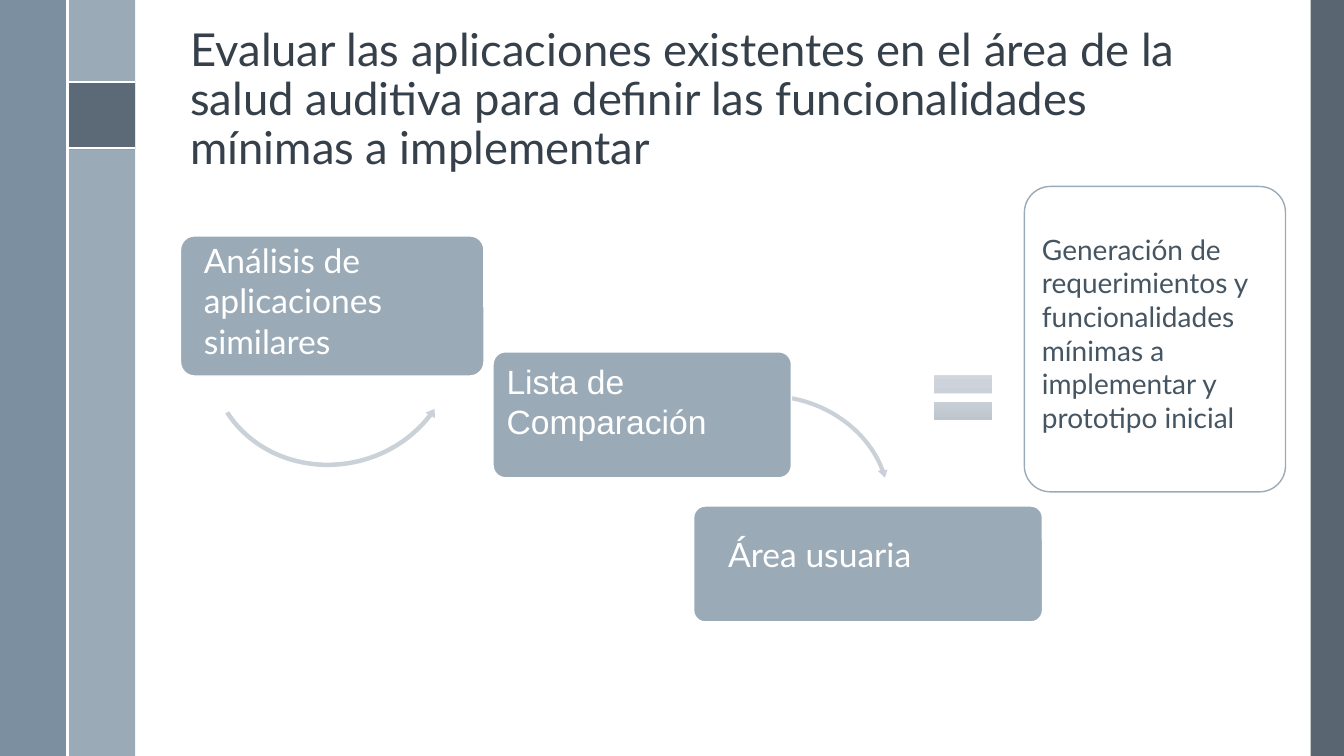
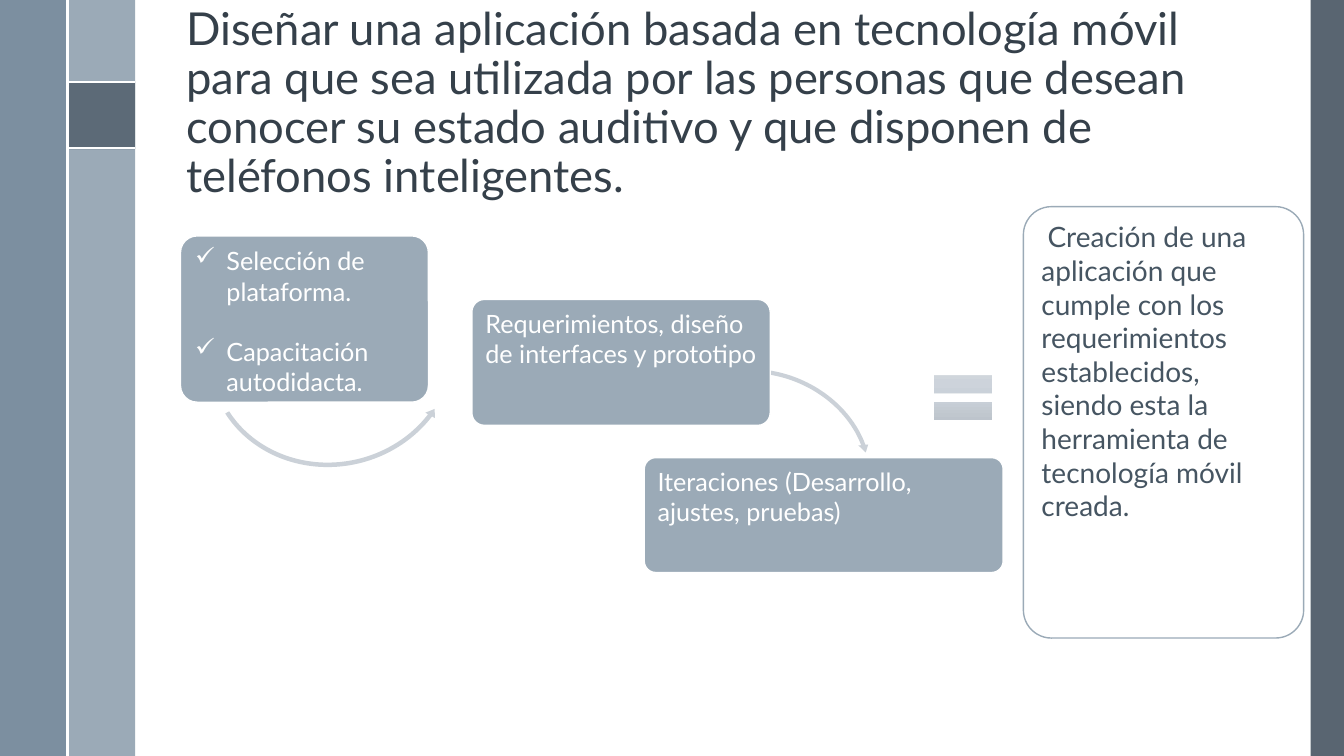
from copy import deepcopy

from lxml.etree import SubElement
from pptx import Presentation
from pptx.dml.color import RGBColor
from pptx.enum.shapes import MSO_CONNECTOR, MSO_SHAPE
from pptx.enum.text import MSO_ANCHOR, PP_ALIGN
from pptx.oxml.ns import qn
from pptx.util import Inches, Pt

COLORS = {
    "white": "FFFFFF", "title": "35404A", "text": "465562", "box": "9BAAB7",
    "arrow": "CBD1D8", "left": "6A8093", "dark": "475562",
}
EQUAL_STOPS = [(0, "D3D8DE"), (0.5, "CAD1D9"), (1, "B3BAC1")]

# left, top, width, height, colour, opacity in percent
BANDS = [
    (13, 0, 0.33, 7.5, "dark", 90),
    (0.67, 0, 0.67, 7.5, "box", 100),
    (0, 0, 0.67, 7.5, "left", 88),
    (0.67, 0.81, 0.67, 0.67, "dark", 75),
]
RULES = [(0.67, 0.81, 1.34, 0.81), (0.67, 1.47, 1.34, 1.47), (0.67, 0, 0.67, 7.5)]

RIGHT_ARC = [0.022, 2.644, 196.606, 133.856, 0.026]
LEFT_ARC = [0.019, 2.316, 27.964, 98.138, 0.023]

SLIDES = [
    {
        "title": "Evaluar las aplicaciones existentes en el área de la salud auditiva "
                 "para definir las funcionalidades mínimas a implementar",
        "title_at": (1.79, 0.42),
        "arc_at": (6.65, 3.91),
        "steps": [
            {"at": (1.79, 2.34, 3.01, 1.39), "size": 24, "inset": (0.19, 0),
             "text": ["Análisis de aplicaciones similares"]},
            {"at": (4.89, 3.49, 2.96, 1.25), "size": 24, "font": "Arial",
             "text": ["Lista de Comparación"]},
            {"at": (6.88, 5.02, 3.46, 1.15), "size": 24, "inset": (0.31, 0.24),
             "text": ["Área usuaria"]},
        ],
        "result": {"at": (10.16, 1.85, 2.59, 3.03), "inset": (0.1, 0.38),
                   "text": ["Generación de requerimientos y funcionalidades mínimas "
                            "a implementar y prototipo inicial"]},
    },
    {
        "title": "Diseñar una aplicación basada en tecnología móvil para que sea utilizada "
                 "por las personas que desean conocer su estado auditivo y que disponen "
                 "de teléfonos inteligentes.",
        "title_at": (1.75, 0.7),
        "arc_at": (6.46, 3.66),
        "steps": [
            {"at": (1.79, 2.34, 2.46, 1.65), "size": 18, "bullet": "✓",
             "text": ["Selección de plataforma.", "Capacitación autodidacta."]},
            {"at": (4.68, 2.97, 2.96, 1.25), "size": 18,
             "text": ["Requerimientos, diseño de interfaces y prototipo"]},
            {"at": (6.39, 4.54, 3.56, 1.14), "size": 18,
             "text": ["Iteraciones (Desarrollo, ajustes, pruebas)"]},
        ],
        "result": {"at": (10.15, 2.05, 2.78, 4.28), "first_line": 0.06,
                   "text": ["Creación de una aplicación que cumple con los requerimientos "
                            "establecidos, siendo esta la herramienta de tecnología móvil "
                            "creada."]},
    },
]


def rgb(name):
    return RGBColor.from_string(COLORS[name])


def add_shape(s, kind, at, fill, line=None):
    sp = s.shapes.add_shape(kind, *map(Inches, at))
    sp.shadow.inherit = False
    sp.fill.solid()
    sp.fill.fore_color.rgb = rgb(fill)
    if line:
        sp.line.color.rgb = rgb(line)
        sp.line.width = Pt(1)
    else:
        sp.line.fill.background()
    return sp


def add_bands(s):
    for *at, color, opacity in BANDS:
        sp = add_shape(s, MSO_SHAPE.RECTANGLE, at, color)
        if opacity < 100:
            clr = sp.fill._xPr.find(qn("a:solidFill"))[0]
            SubElement(clr, qn("a:alpha"), val=str(opacity * 1000))
    for ends in RULES:
        rule = s.shapes.add_connector(MSO_CONNECTOR.STRAIGHT, *map(Inches, ends))
        rule.line.color.rgb = rgb("white")
        rule.line.width = Pt(1.5)
        SubElement(rule._element.spPr, qn("a:effectLst"))


def set_font(p, size, color, name="Lato"):
    for r in p.runs:
        for key, value in {"size": Pt(size), "name": name}.items():
            setattr(r.font, key, value)
        r.font.color.rgb = rgb(color)


def add_title(s, text, at):
    sp = s.shapes.add_textbox(*map(Inches, (*at, 10.7, 1.36)))
    tf = sp.text_frame
    tf.word_wrap = True
    tf.vertical_anchor = MSO_ANCHOR.BOTTOM
    p = tf.paragraphs[0]
    p.line_spacing = 0.9
    p.add_run().text = text
    set_font(p, 32.4, "title")


def add_card(s, card, fill, line, color):
    sp = add_shape(s, MSO_SHAPE.ROUNDED_RECTANGLE, card["at"], fill, line)
    sp.adjustments[0] = 0.1
    tf = sp.text_frame
    tf.word_wrap = True
    tf.vertical_anchor = MSO_ANCHOR.TOP
    tf.margin_left, tf.margin_top = map(Inches, card.get("inset", (0.1, 0.05)))
    size = card.get("size", 20)
    for i, text in enumerate(card["text"]):
        p = tf.add_paragraph() if i else tf.paragraphs[0]
        p.alignment = PP_ALIGN.LEFT
        pPr = p._p.get_or_add_pPr()
        if i:
            p.space_before = Pt(size * 1.2)
        if "bullet" in card:
            pPr.set("marL", str(Inches(0.31)))
            pPr.set("indent", str(Inches(-0.31)))
            SubElement(pPr, qn("a:buChar"), char=card["bullet"])
        elif "first_line" in card:
            pPr.set("indent", str(Inches(card["first_line"])))
        p.add_run().text = text
        set_font(p, size, color, card.get("font", "Lato"))


def add_arc(s, kind, at, rotation, adjustments):
    sp = add_shape(s, kind, at, "arrow")
    sp.rotation = rotation
    for i, value in enumerate(adjustments):
        sp.adjustments[i] = value


def add_equal_sign(s):
    sp = add_shape(s, MSO_SHAPE.MATH_EQUAL, (9.16, 3.57, 0.79, 0.75), "arrow")
    sp.fill.gradient()
    sp.fill.gradient_angle = 270
    gs_list = sp.fill._xPr.find(qn("a:gradFill")).find(qn("a:gsLst"))
    gs_list.insert(1, deepcopy(gs_list[0]))
    for stop, (position, color) in zip(sp.fill.gradient_stops, EQUAL_STOPS):
        stop.position = position
        stop.color.rgb = RGBColor.from_string(color)


def build_slide(prs, content):
    s = prs.slides.add_slide(prs.slide_layouts[6])
    add_bands(s)
    add_arc(s, MSO_SHAPE.CIRCULAR_ARROW, (*content["arc_at"], 2.23, 1.87), 22, RIGHT_ARC)
    add_card(s, content["result"], "white", "box", "text")
    add_title(s, content["title"], content["title_at"])
    for step in content["steps"]:
        add_card(s, step, "box", "white", "white")
    add_arc(s, MSO_SHAPE.LEFT_CIRCULAR_ARROW, (2.03, 2.32, 2.53, 2.34), 346.4, LEFT_ARC)
    add_equal_sign(s)


def main():
    prs = Presentation()
    prs.slide_width, prs.slide_height = Inches(13.33), Inches(7.5)
    for content in SLIDES:
        build_slide(prs, content)
    prs.save("out.pptx")


if __name__ == "__main__":
    main()
